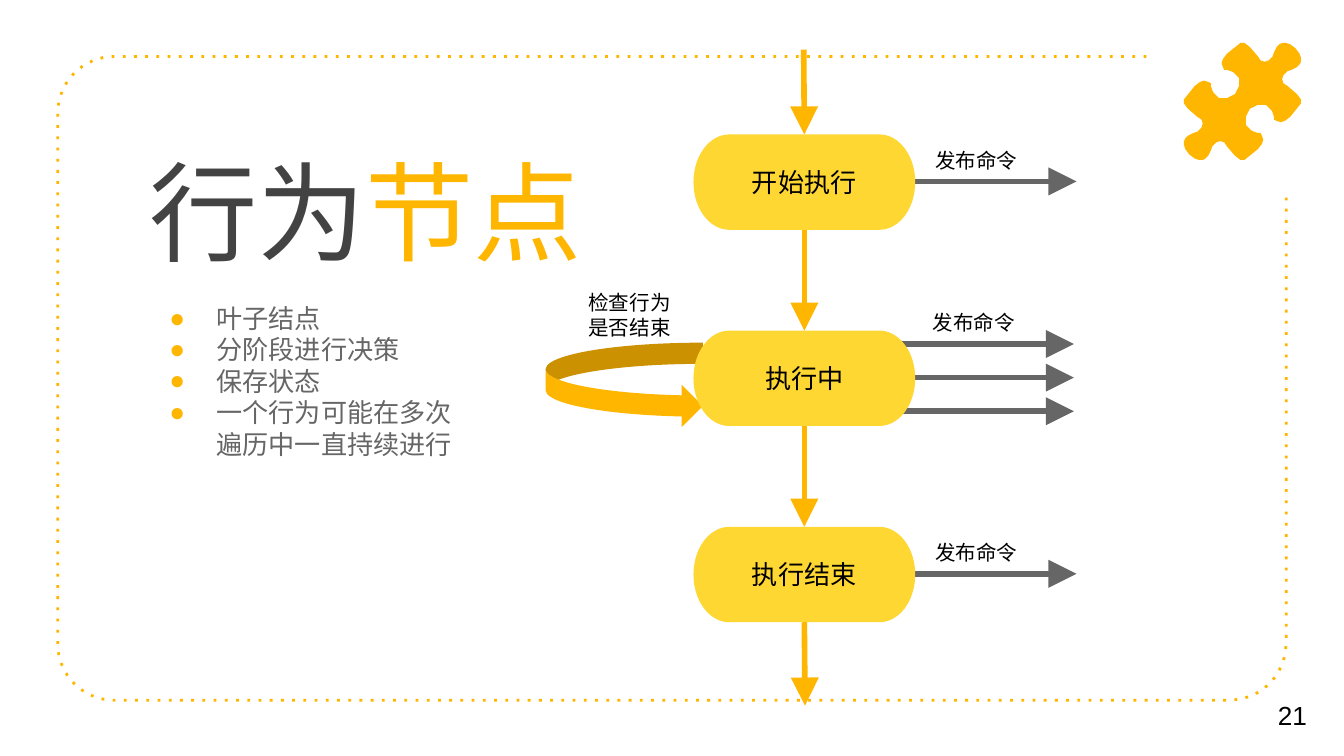
import math

from lxml import etree
from pptx import Presentation
from pptx.dml.color import RGBColor
from pptx.enum import shapes, text
from pptx.oxml.ns import qn
from pptx.util import Inches, Pt

COLORS = {
    "amber": "FFB600",
    "yellow": "FFD733",
    "ink": "434343",
    "gray": "666666",
    "black": "000000",
}
FONT = "Manrope"
CENTER = text.PP_ALIGN.CENTER
MIDDLE = text.MSO_ANCHOR.MIDDLE


def rgb(name):
    return RGBColor.from_string(COLORS[name])


def corner(cx, cy, radius, start, steps=8):
    """Points of a quarter turn, counter-clockwise on screen from start degrees."""
    angles = [math.radians(start - 90 * i / steps) for i in range(steps + 1)]
    return [(cx + radius * math.cos(a), cy + radius * math.sin(a)) for a in angles]


def puzzle_outline(left, top, size):
    """Mirror a quarter, from notch to knob, over both diagonals."""
    quarter = [
        (.38, .38), (.36, .39), (.34, .40), (.32, .41), (.29, .41), (.26, .41),
        (.24, .39), (.22, .37), (.21, .35), (.20, .32), (.20, .30), (.18, .29),
        (.15, .28), (.12, .29), (.08, .32), (.04, .37), (0, .42), (0, .45),
        (.03, .49), (.10, .55), (.13, .57), (.14, .60), (.13, .63), (.10, .66),
        (.07, .67), (.03, .69), (.01, .71), (0, .73), (0, .76), (.01, .79),
        (.04, .83),
    ]
    half = quarter + [(size - y, size - x) for x, y in reversed(quarter)]
    whole = half + [(size - x, size - y) for x, y in half]
    return [(left + x, top + y) for x, y in whole]


class SlideBuilder:
    def __init__(self, slide):
        self.slide = slide
        self.shapes = slide.shapes

    def style(self, paragraph, size, color, font=FONT, align=None):
        paragraph.alignment = align
        paragraph.font.size = Pt(size)
        paragraph.font.name = font
        paragraph.font.color.rgb = rgb(color)
        properties = paragraph._p.pPr.find(qn("a:defRPr"))
        etree.SubElement(properties, qn("a:ea")).set("typeface", font)

    def frame(self, shape, anchor=text.MSO_ANCHOR.TOP):
        frame = shape.text_frame
        frame.word_wrap = True
        frame.auto_size = text.MSO_AUTO_SIZE.NONE
        frame.vertical_anchor = anchor
        frame.margin_left = frame.margin_right = Inches(0.1)
        frame.margin_top = frame.margin_bottom = Inches(0.1)
        return frame

    def place(self, shape, left, top, width, height):
        shape.left, shape.top = Inches(left), Inches(top)
        shape.width, shape.height = Inches(width), Inches(height)

    def title(self, parts, box):
        heading = self.shapes.title
        self.place(heading, *box)
        paragraph = self.frame(heading).paragraphs[0]
        self.style(paragraph, 58, parts[0][1], align=text.PP_ALIGN.LEFT)
        for words, color in parts:
            run = paragraph.add_run()
            run.text = words
            run.font.color.rgb = rgb(color)

    def bullets(self, items, box):
        body = self.slide.placeholders[1]
        self.place(body, *box)
        frame = self.frame(body)
        frame.text = "\n".join(items)
        for paragraph in frame.paragraphs:
            properties = paragraph._p.get_or_add_pPr()
            properties.set("marL", str(Inches(0.5)))
            properties.set("indent", str(Inches(-0.35)))
            tint = etree.SubElement(properties, qn("a:buClr"))
            etree.SubElement(tint, qn("a:srgbClr")).set("val", COLORS["amber"])
            etree.SubElement(properties, qn("a:buChar")).set("char", "●")
            paragraph.space_before = Pt(0)
            self.style(paragraph, 14, "gray")

    def label(self, words, box, size=11, font=FONT, align=CENTER,
              anchor=text.MSO_ANCHOR.TOP):
        frame = self.frame(self.shapes.add_textbox(*map(Inches, box)), anchor)
        frame.text = words
        for paragraph in frame.paragraphs:
            self.style(paragraph, size, "black", font, align)

    def preset(self, kind, box, color):
        shape = self.shapes.add_shape(kind, *map(Inches, box))
        shape.shadow.inherit = False
        shape.fill.solid()
        shape.fill.fore_color.rgb = rgb(color)
        shape.line.fill.background()
        return shape

    def node(self, words, box):
        node = self.preset(shapes.MSO_SHAPE.FLOWCHART_TERMINATOR, box, "yellow")
        frame = self.frame(node, MIDDLE)
        frame.text = words
        self.style(frame.paragraphs[0], 14, "black", align=CENTER)
        return node

    def outline(self, points, close):
        points = [(Inches(x), Inches(y)) for x, y in points]
        builder = self.shapes.build_freeform(*points[0])
        builder.add_line_segments(points[1:], close=close)
        shape = builder.convert_to_shape()
        shape.shadow.inherit = False
        return shape

    def dotted_border(self, points):
        border = self.outline(points, close=False)
        border.fill.background()
        border.line.color.rgb = rgb("amber")
        border.line.width = Pt(1.5)
        line = border._element.spPr.find(qn("a:ln"))
        etree.SubElement(line, qn("a:prstDash")).set("val", "dot")

    def puzzle(self, left, top, size):
        piece = self.outline(puzzle_outline(left, top, size), close=True)
        piece.fill.solid()
        piece.fill.fore_color.rgb = rgb("amber")
        piece.line.fill.background()

    def arrow(self, start, end, color):
        arrow = self.shapes.add_connector(
            shapes.MSO_CONNECTOR.STRAIGHT, *map(Inches, start + end))
        arrow.line.color.rgb = rgb(color)
        arrow.line.width = Pt(3)
        properties = arrow._element.spPr
        tail = etree.SubElement(properties.find(qn("a:ln")), qn("a:tailEnd"))
        tail.set("type", "triangle")
        tail.set("w", "lg")
        tail.set("len", "lg")
        etree.SubElement(properties, qn("a:effectLst"))
        return arrow


def main():
    deck = Presentation()
    deck.slide_width = Inches(10)
    deck.slide_height = deck.slide_width * 9 // 16
    page = SlideBuilder(deck.slides.add_slide(deck.slide_layouts[1]))

    page.dotted_border(
        [(8.53, 0.42)]
        + corner(0.85, 0.84, 0.42, 270)
        + corner(0.85, 4.79, 0.42, 180)
        + corner(9.15, 4.79, 0.42, 90)
        + [(9.57, 1.46)])
    page.puzzle(8.81, 0.32, 0.87)
    page.title([("行为", "ink"), ("节点", "amber")], (1.01, 0.98, 7.51, 0.94))
    page.bullets(
        ["叶子结点", "分阶段进行决策", "保存状态", "一个行为可能在多次遍历中一直持续进行"],
        (1.01, 2.15, 2.55, 2.87))
    page.label("21", (9.41, 5.02, 0.59, 0.6), 14, "Arial", text.PP_ALIGN.LEFT, MIDDLE)

    page.preset(shapes.MSO_SHAPE.CURVED_RIGHT_ARROW, (4.06, 2.55, 1.17, 0.63), "amber")
    page.label("检查行为\n是否结束", (4.21, 2.06, 0.95, 0.53))

    commands = [(6.73, [1.35]), (6.71, [2.56, 2.81, 3.06]), (6.73, [4.27])]
    for left, heights in commands:
        for y in heights:
            page.arrow((left, y), (left + 1.28, y), "gray")
        page.label("发布命令", (left + 0.06, heights[0] - 0.35, 0.95, 0.3))

    stages = [page.node(words, (5.16, 1 + 1.46 * i, 1.65, 0.71))
              for i, words in enumerate(["开始执行", "执行中", "执行结束"])]
    axis = 5.99
    entry = page.arrow((5.98, 0.37), (axis, 1), "amber")
    entry.end_connect(stages[0], 0)
    for upper, lower in zip(stages, stages[1:]):
        step = page.arrow((axis, 1.71), (axis, 2.46), "amber")
        step.begin_connect(upper, 2)
        step.end_connect(lower, 0)
    leave = page.arrow((axis, 4.63), (axis, 5.25), "amber")
    leave.begin_connect(stages[-1], 2)

    deck.save("out.pptx")


if __name__ == "__main__":
    main()
